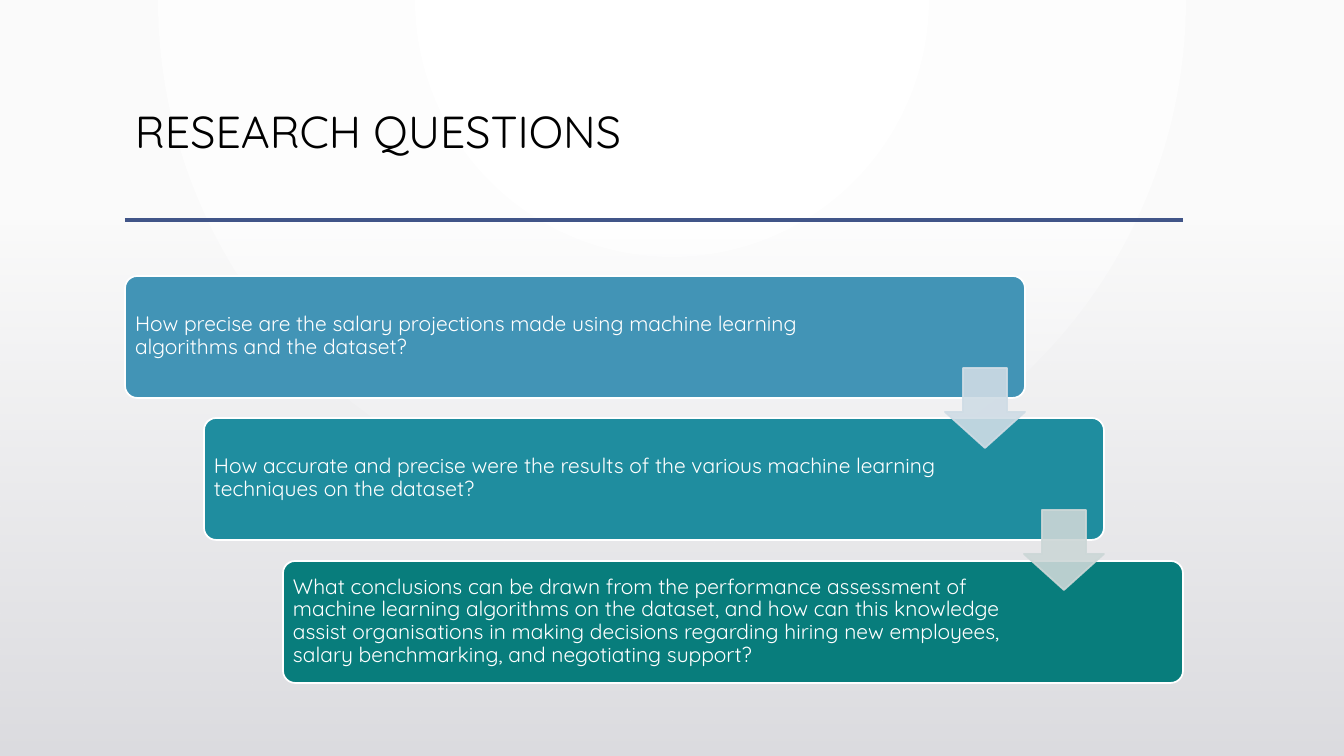
from dataclasses import dataclass

from lxml import etree
from pptx import Presentation
from pptx import util as u
from pptx.dml.color import RGBColor
from pptx.enum import shapes, text
from pptx.oxml import parse_xml
from pptx.oxml.ns import qn

SCALE = 914400 / 100.8  # EMU in one px
WIDE, HIGH = 1344, 756
FONT = "Quicksand"
NS = "http://schemas.openxmlformats.org/drawingml/2006/main"

BLACK = RGBColor(0x00, 0x00, 0x00)
WHITE = RGBColor(0xFF, 0xFF, 0xFF)
PALE = RGBColor(0xFA, 0xFA, 0xFA)
GREY = RGBColor(0xDC, 0xDC, 0xE0)
NAVY = RGBColor(0x41, 0x55, 0x88)
BLUE = RGBColor(0x42, 0x94, 0xB6)
TEAL = RGBColor(0x1F, 0x8D, 0x9F)
GREEN = RGBColor(0x08, 0x7D, 0x7C)
MIST = RGBColor(0xCF, 0xDC, 0xE5)
SAGE = RGBColor(0xCC, 0xD7, 0xD7)

GLOW = '<a:path path="circle"><a:fillToRect l="43000" r="43000" b="100000"/></a:path>'
DOWN = '<a:lin ang="5400000" scaled="0"/>'


@dataclass
class Step:
    words: str
    fill: RGBColor
    width: int  # of the text


STEPS = [
    Step("How precise are the salary projections made using machine learning "
         "algorithms and the dataset?", BLUE, 768),
    Step("How accurate and precise were the results of the various machine "
         "learning techniques on the dataset?", TEAL, 734),
    Step("What conclusions can be drawn from the performance assessment of machine "
         "learning algorithms on the dataset, and how can this knowledge assist "
         "organisations in making decisions regarding hiring new employees, salary "
         "benchmarking, and negotiating support?", GREEN, 734),
]
ARROWS = [MIST, SAGE]


def px(*sizes: int) -> list[u.Emu]:
    return [u.Emu(round(size * SCALE)) for size in sizes]


def spot(index: int) -> tuple[int, int]:
    """Left and top of a step in the staircase."""
    return 125 + 79 * index, 276 + 285 * index // 2


def add_form(slide, kind, box: tuple, fill: RGBColor, edge: RGBColor | None = None):
    form = slide.shapes.add_shape(kind, *px(*box))
    form.shadow.inherit = False
    form.fill.solid()
    form.fill.fore_color.rgb = fill
    if edge is None:
        form.line.fill.background()
    else:
        form.line.color.rgb = edge
        form.line.width = u.Pt(1.25)
    return form


def add_blend(slide, box: tuple, first: RGBColor, last: RGBColor, way: str,
              alpha: int = 100) -> None:
    form = add_form(slide, shapes.MSO_SHAPE.RECTANGLE, box, last)
    solid = form._element.spPr.find(qn("a:solidFill"))
    blend = parse_xml(
        f'<a:gradFill xmlns:a="{NS}" rotWithShape="1"><a:gsLst>'
        f'<a:gs pos="0"><a:srgbClr val="{first}"><a:alpha val="{alpha * 1000}"/></a:srgbClr></a:gs>'
        f'<a:gs pos="100000"><a:srgbClr val="{last}"/></a:gs>'
        f'</a:gsLst>{way}</a:gradFill>')
    solid.getparent().replace(solid, blend)


def add_words(slide, box: tuple, words: str, size: int, color: RGBColor,
              anchor: text.MSO_ANCHOR, inset: tuple[float, float]) -> None:
    frame = slide.shapes.add_textbox(*px(*box)).text_frame
    frame.word_wrap = True
    frame.vertical_anchor = anchor
    frame.margin_left = frame.margin_right = u.Inches(inset[0])
    frame.margin_top = frame.margin_bottom = u.Inches(inset[1])
    para = frame.paragraphs[0]
    para.text = words
    para.line_spacing = 0.9
    para.font.name = FONT
    para.font.size = u.Pt(size)
    para.font.color.rgb = color


def add_step(slide, index: int, step: Step) -> None:
    left, top = spot(index)
    card = add_form(slide, shapes.MSO_SHAPE.ROUNDED_RECTANGLE,
                    (left, top, 900, 122), step.fill, WHITE)
    card.adjustments[0] = 0.1
    add_words(slide, (left + 4, top + 3, step.width, 115), step.words, 15, WHITE,
              text.MSO_ANCHOR.MIDDLE, (0.06, 0.06))


def add_arrow(slide, index: int, color: RGBColor) -> None:
    left, top = spot(index)
    arrow = add_form(slide, shapes.MSO_SHAPE.DOWN_ARROW,
                     (left + 820, top + 92, 80, 80), color, color)
    arrow.adjustments[0], arrow.adjustments[1] = 0.55, 0.45
    for tint in arrow._element.spPr.iter(qn("a:srgbClr")):
        etree.SubElement(tint, qn("a:alpha"), val="90000")


def main() -> None:
    deck = Presentation()
    deck.slide_width, deck.slide_height = px(WIDE, HIGH)
    slide = deck.slides.add_slide(deck.slide_layouts[6])

    # Backdrop
    add_blend(slide, (0, 0, WIDE, HIGH), WHITE, PALE, GLOW)

    # Title and rule
    add_words(slide, (125, 105, 1058, 116), "RESEARCH QUESTIONS", 32, BLACK,
              text.MSO_ANCHOR.TOP, (0.1, 0.05))
    rule = slide.shapes.add_connector(shapes.MSO_CONNECTOR.STRAIGHT,
                                      *px(125, 220, 1183, 220))
    rule.line.color.rgb = NAVY
    rule.line.width = u.Pt(2.5)
    etree.SubElement(rule._element.spPr, qn("a:effectLst"))

    # Lower shade
    add_blend(slide, (0, 223, WIDE, 533), GREY, GREY, DOWN, alpha=0)

    # Staircase of questions
    for index, step in enumerate(STEPS):
        add_step(slide, index, step)
    for index, color in enumerate(ARROWS):
        add_arrow(slide, index, color)

    deck.save("out.pptx")


if __name__ == "__main__":
    main()
